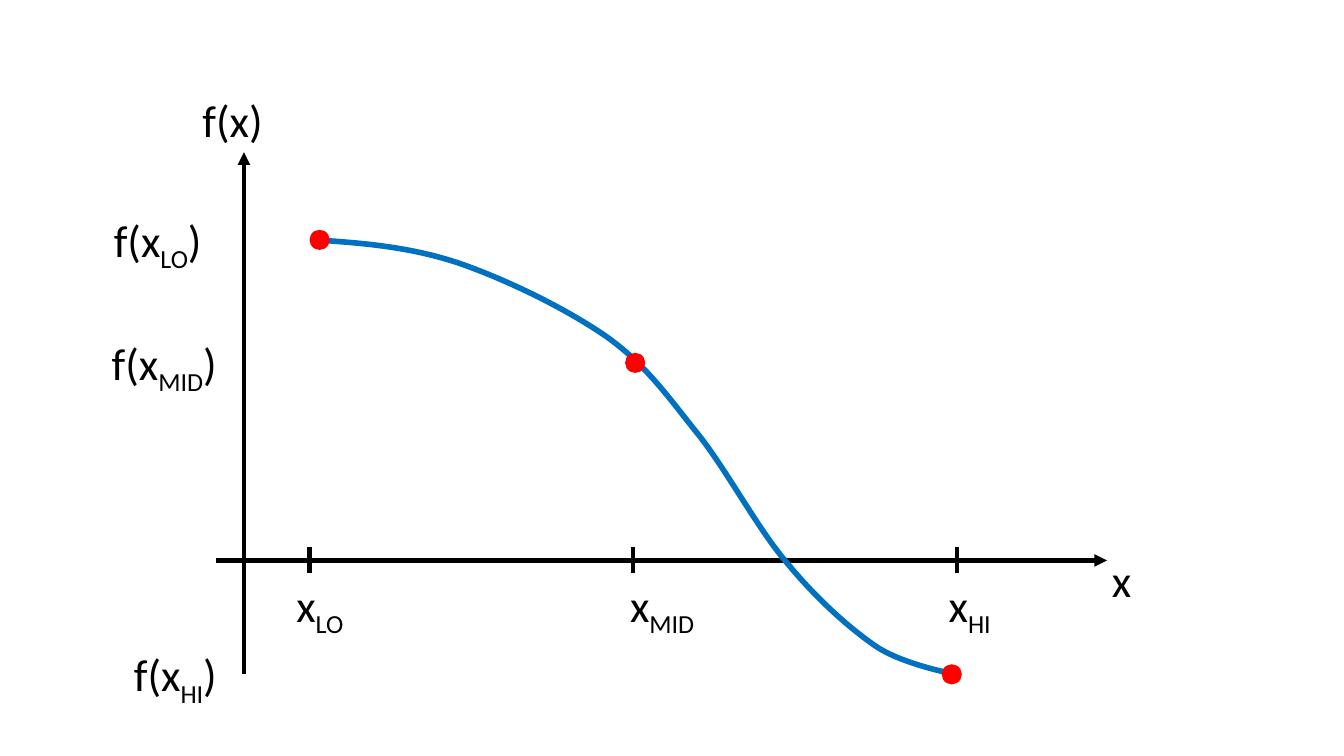
from pptx import Presentation
from pptx.dml.color import RGBColor
from pptx.enum.shapes import MSO_CONNECTOR as CONN, MSO_SHAPE as SHAPE
from pptx.enum.text import MSO_AUTO_SIZE as FIT
from pptx.oxml.ns import qn
from pptx.util import Inches, Pt
from lxml.etree import SubElement

BLACK, BLUE, RED = "000000", "0070C0", "FF0000"
AXIS_Y, TICK_TOP, TICK_BOTTOM = 5.56, 5.43, 5.68
FIRST_TICK, TICK_GAP = 3.07, 3.21
DOT = 0.2
TEXT_HEIGHT = 0.64
FONT = {"name": "Calibri", "size": Pt(32)}

axes = [((2.42, 6.69), (2.42, 1.51)), ((2.14, AXIS_Y), (10.98, AXIS_Y))]
ticks = [((x, TICK_TOP), (x, TICK_BOTTOM))
         for x in (FIRST_TICK + i * TICK_GAP for i in range(3))]
curve = [
    (3.12, 2.38),
    (3.6, 2.41), (4.07, 2.45), (4.55, 2.61),
    (5.04, 2.78), (5.63, 3.07), (6.03, 3.35),
    (6.43, 3.64), (6.65, 3.97), (6.95, 4.34),
    (7.24, 4.72), (7.52, 5.25), (7.81, 5.59),
    (8.1, 5.94), (8.42, 6.23), (8.7, 6.42),
    (8.98, 6.6), (9.48, 6.69), (9.48, 6.69),
]
dots = [(3.07, 2.28), (9.34, 6.59), (6.2, 3.5)]
labels = [
    (2.84, TICK_BOTTOM, 0.71, ("x", "LO")),
    (6.15, TICK_BOTTOM, 0.91, ("x", "MID")),
    (9.31, TICK_BOTTOM, 0.66, ("x", "HI")),
    (10.93, TICK_TOP, 0.4, ("x",)),
    (1.91, 0.87, 0.81, ("f(x)",)),
    (1.03, 2.06, 1.12, ("f(x", "LO", ")")),
    (1.23, 6.37, 1.07, ("f(x", "HI", ")")),
    (1.01, 3.28, 1.32, ("f(x", "MID", ")")),
]


def rgb(color):
    return RGBColor.from_string(color)


def set_line(sp, color, width):
    sp.line.color.rgb = rgb(color)
    sp.line.width = Pt(width)


def add_line(start, end, arrow=False):
    sp = s.shapes.add_connector(CONN.STRAIGHT, *map(Inches, start + end))
    set_line(sp, BLACK, 3)
    if arrow:
        SubElement(sp.line._get_or_add_ln(), qn("a:tailEnd"), type="triangle")
    SubElement(sp._element.spPr, qn("a:effectLst"))


def add_curve(points):
    start, *controls = [(Inches(x), Inches(y)) for x, y in points]
    builder = s.shapes.build_freeform(*start)
    builder.add_line_segments(controls, close=False)
    sp = builder.convert_to_shape()
    sp.shadow.inherit = False
    sp.fill.background()
    set_line(sp, BLUE, 4)
    segments = list(sp._element.iter(qn("a:lnTo")))
    outline = segments[0].getparent()
    for i in range(0, len(segments), 3):
        bezier = SubElement(outline, qn("a:cubicBezTo"))
        for segment in segments[i:i + 3]:
            bezier.append(segment[0])
            outline.remove(segment)


def add_dot(x, y):
    sp = s.shapes.add_shape(SHAPE.OVAL, *map(Inches, (x, y, DOT, DOT)))
    sp.shadow.inherit = False
    sp.fill.solid()
    sp.fill.fore_color.rgb = rgb(RED)
    sp.line.fill.background()


def add_label(x, y, width, parts):
    tf = s.shapes.add_textbox(*map(Inches, (x, y, width, TEXT_HEIGHT))).text_frame
    tf.word_wrap = False
    tf.auto_size = FIT.SHAPE_TO_FIT_TEXT
    p = tf.paragraphs[0]
    for i, text in enumerate(parts):
        r = p.add_run()
        r.text = text
        for key, value in FONT.items():
            setattr(r.font, key, value)
        r.font.color.rgb = rgb(BLACK)
        if i == 1:
            r._r.get_or_add_rPr().set("baseline", "-25000")


prs = Presentation()
prs.slide_width, prs.slide_height = Inches(13.33), Inches(7.5)
s = prs.slides.add_slide(prs.slide_layouts[6])

for axis in axes:
    add_line(*axis, arrow=True)
add_curve(curve)
for dot in dots:
    add_dot(*dot)
for tick in ticks:
    add_line(*tick)
for label in labels:
    add_label(*label)

prs.save("out.pptx")
